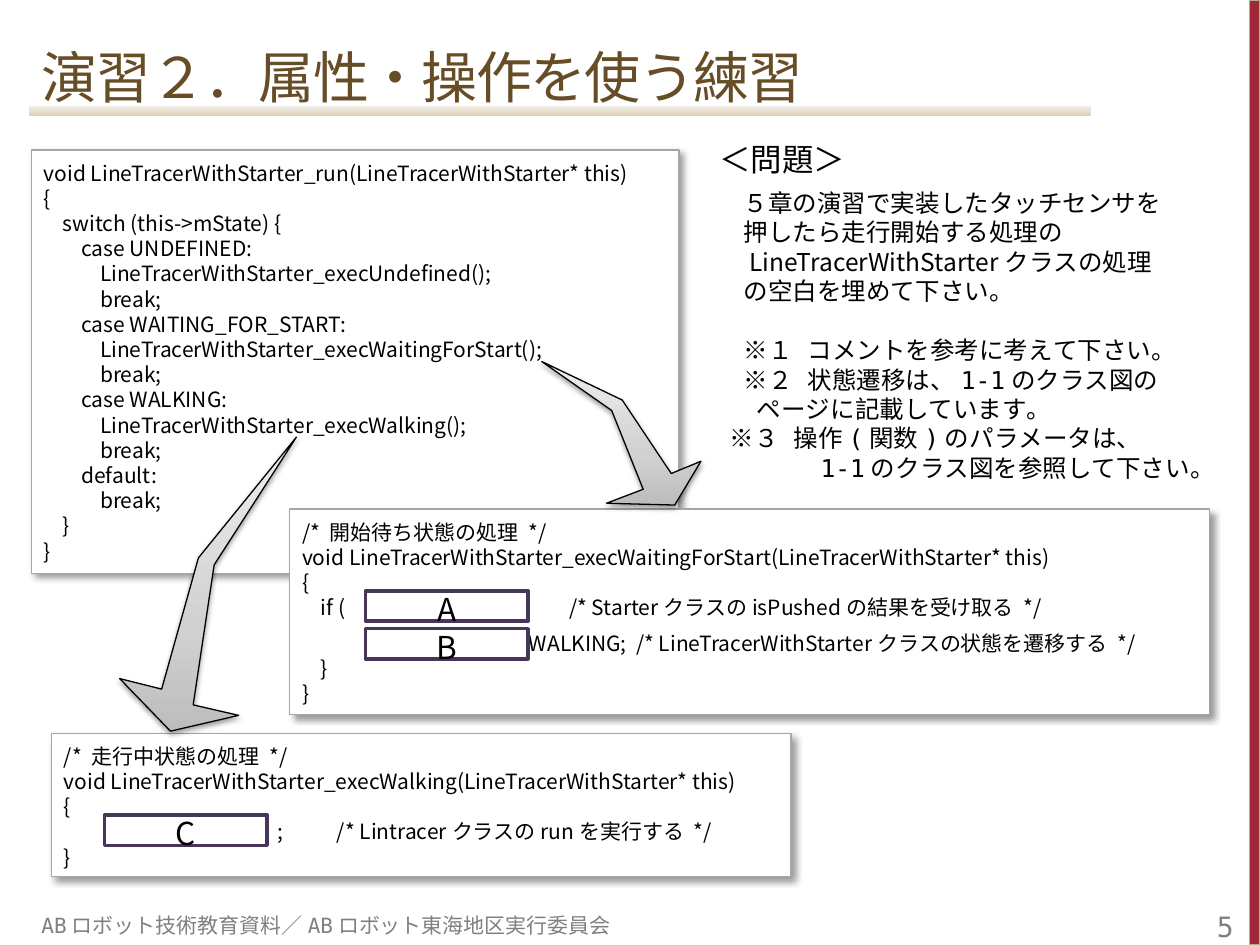
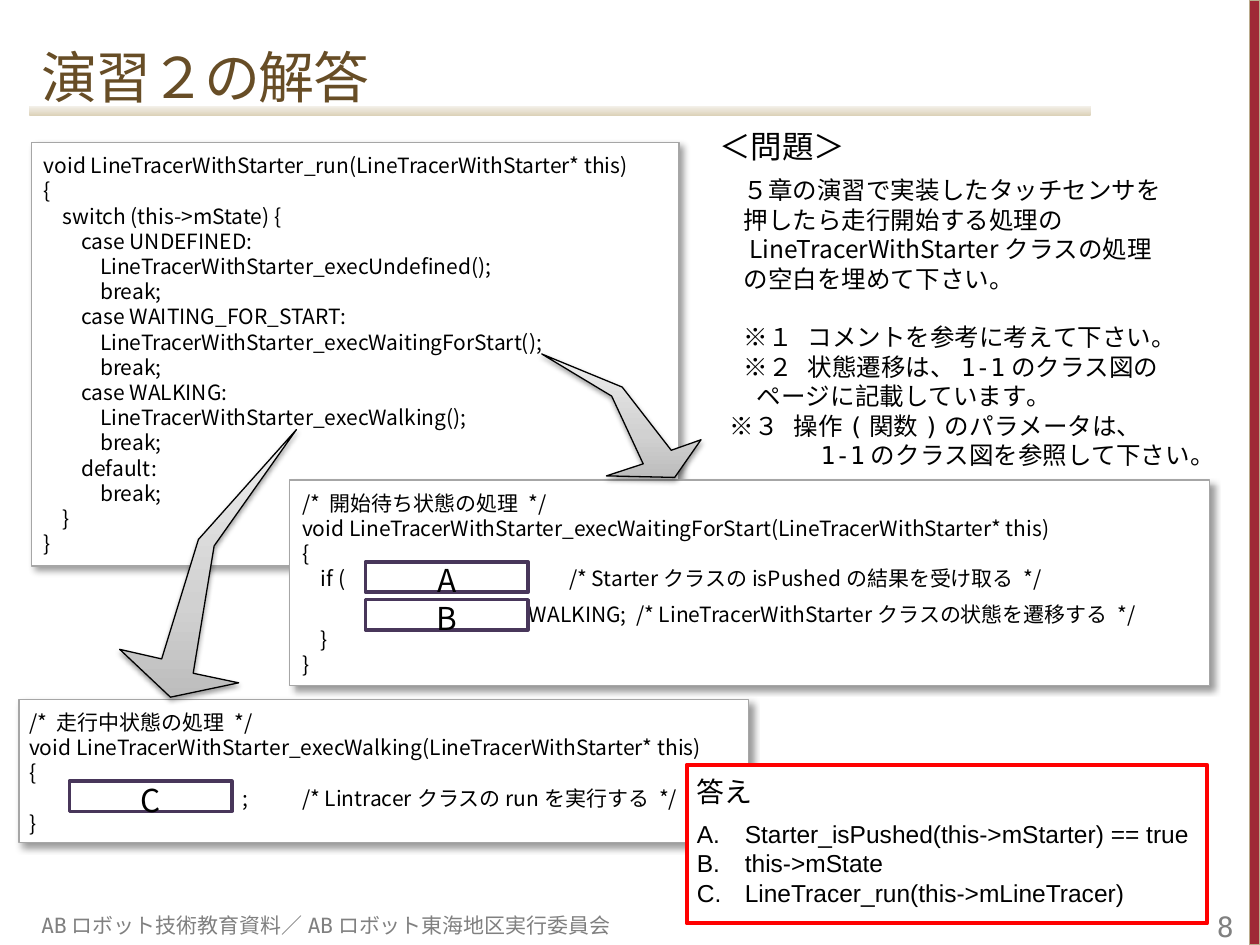
from dataclasses import dataclass

from lxml import etree
from pptx import Presentation
from pptx.dml.color import RGBColor
from pptx.enum.shapes import MSO_SHAPE as Preset
from pptx.enum.text import MSO_ANCHOR as Anchor, PP_ALIGN as Align
from pptx.oxml import parse_xml
from pptx.oxml.ns import nsdecls, qn
from pptx.util import Pt


@dataclass(frozen=True)
class Theme:
    ink: str = "000000"
    paper: str = "FFFFFF"
    title: str = "674D26"
    muted: str = "808080"
    band: str = "9F2936"
    band_edge: str = "BAAD8D"
    panel_edge: str = "A6A6A6"
    blank_edge: str = "48365A"
    answer_edge: str = "FF0000"
    rule: tuple = ((0, "DBD1B7"), (50, "E8E1D2"), (100, "F3F0E9"))
    arrow: tuple = ((0, "BDBDBD"), (35, "D1D1D1"), (100, "EEEEEE"))
    panel_shadow: tuple = (40, 4, 3, 45)
    arrow_shadow: tuple = (38, 3.1, 1.6, 90)
    title_font: str = "Karla"
    body_font: str = "DejaVu Sans Mono"
    code_font: str = "Noto Sans CJK JP"
    answer_font: str = "Arial"
    title_size: int = 32
    heading_size: int = 18
    answer_heading_size: int = 16
    page_size: int = 16
    body_size: int = 14
    code_size: int = 12
    leading: float = 1.2


theme = Theme()


def paint(shape, fill, edge=None, width=0.75, shadow=None):
    shape.shadow.inherit = False
    if isinstance(fill, str):
        shape.fill.solid()
        shape.fill.fore_color.rgb = RGBColor.from_string(fill)
    else:
        shape.fill.gradient()
        shape.fill.gradient_angle = 90
        stops = shape._element.spPr.find(".//" + qn("a:gsLst"))
        for stop in list(stops):
            stops.remove(stop)
        for position, color in fill:
            stop = etree.SubElement(stops, qn("a:gs"), pos=str(position * 1000))
            etree.SubElement(stop, qn("a:srgbClr"), val=color)
    if edge:
        shape.line.color.rgb = RGBColor.from_string(edge)
        shape.line.width = Pt(width)
    else:
        shape.line.fill.background()
    if shadow:
        alpha, blur, distance, angle = shadow
        effects = shape._element.spPr.find(qn("a:effectLst"))
        effects.append(parse_xml(
            f'<a:outerShdw {nsdecls("a")} blurRad="{Pt(blur)}" dist="{Pt(distance)}" '
            f'dir="{angle * 60000}" algn="tl" rotWithShape="0"><a:srgbClr val="{theme.ink}">'
            f'<a:alpha val="{alpha * 1000}"/></a:srgbClr></a:outerShdw>'))


def write(shape, text, font, size, color=theme.ink, insets=(7.2, 3.6, 7.2, 3.6),
          anchor=Anchor.TOP, align=Align.LEFT, first=None):
    frame = shape.text_frame
    frame.text = text
    frame.word_wrap = True
    frame.vertical_anchor = anchor
    frame.margin_left, frame.margin_top, frame.margin_right, frame.margin_bottom = map(Pt, insets)
    for index, paragraph in enumerate(frame.paragraphs):
        points = first if first and index == 0 else size
        paragraph.alignment = align
        paragraph.line_spacing = Pt(points * theme.leading)
        paragraph.space_after = Pt(6 if first and index == 0 else 0)
        for run in paragraph.runs:
            run.font.name = font
            run.font.size = Pt(points)
            run.font.color.rgb = RGBColor.from_string(color)
            etree.SubElement(run._r.get_or_add_rPr(), qn("a:ea"), typeface=font)
    return frame.paragraphs


RUN_CODE = """void LineTracerWithStarter_run(LineTracerWithStarter* this)
{
\tswitch (this->mState) {
\t\tcase UNDEFINED:
\t\t\tLineTracerWithStarter_execUndefined();
\t\t\tbreak;
\t\tcase WAITING_FOR_START:
\t\t\tLineTracerWithStarter_execWaitingForStart();
\t\t\tbreak;
\t\tcase WALKING:
\t\t\tLineTracerWithStarter_execWalking();
\t\t\tbreak;
\t\tdefault:
\t\t\tbreak;
\t}
}"""
WALKING_CODE = """/* 走行中状態の処理 */
void LineTracerWithStarter_execWalking(LineTracerWithStarter* this)
{
\t;\t/* Lintracerクラスのrunを実行する */
}"""
WAITING_CODE = """/* 開始待ち状態の処理 */
void LineTracerWithStarter_execWaitingForStart(LineTracerWithStarter* this)
{
\tif (\t) {\t/* StarterクラスのisPushedの結果を受け取る */
\t\t\t= WALKING;\t/* LineTracerWithStarterクラスの状態を遷移する */
\t}
}"""
PROBLEM = [
    ("＜問題＞", 0),
    ("５章の演習で実装したタッチセンサを", 14),
    ("押したら走行開始する処理の", 14),
    ("LineTracerWithStarterクラスの処理", 17),
    ("の空白を埋めて下さい。", 14),
    ("※１ コメントを参考に考えて下さい。", 14),
    ("※２ 状態遷移は、1-1のクラス図の", 14),
    ("ページに記載しています。", 21.5),
    ("※３ 操作(関数)のパラメータは、", 6),
    ("1-1のクラス図を参照して下さい。", 58),
]
ANSWERS = """答え
Starter_isPushed(this->mStarter) == true
this->mState
LineTracer_run(this->mLineTracer)"""
FOOTER = "ABロボット技術教育資料／ABロボット東海地区実行委員会"

RUN_STOPS = (10.7, 21.4, 32.1)
WALKING_STOPS = (122, 156)
WAITING_STOPS = (10.7, 113, 120.3, 152.6, 190.9)
WAITING_ARROW = [(0, 0), (46, 22), (74, 64), (91, 57), (76, 82), (37, 81), (58, 73), (40, 28)]
WALKING_ARROW = [(101, 0), (45, 69), (24, 144), (0, 138), (29, 168), (68, 159), (42, 153), (54, 73)]

PAGES = [
    dict(title="演習２．属性・操作を使う練習", number="5", run_top=85.7, waiting_top=290.9,
         walking=(29.5, 419, 422.6), walking_inset=7.2, problem_top=76.3,
         arrows=((206.6, 1), (249.8, 1)), answers=False),
    dict(title="演習２の解答", number="8", run_top=81.4, waiting_top=274.3,
         walking=(10.8, 399.6, 416.9), walking_inset=5.8, problem_top=69.1,
         arrows=((202.3, 0.86), (245.5, 0.91)), answers=True),
]

presentation = Presentation()
presentation.slide_width, presentation.slide_height = Pt(720), Pt(540)

for page in PAGES:
    slide = presentation.slides.add_slide(presentation.slide_layouts[6])
    shapes = slide.shapes

    rule = shapes.add_shape(Preset.ROUNDED_RECTANGLE, Pt(16.6), Pt(60.5), Pt(607), Pt(5.8))
    paint(rule, theme.rule)
    band = shapes.add_shape(Preset.RECTANGLE, Pt(714.2), Pt(0), Pt(5.8), Pt(540))
    paint(band, theme.band, theme.band_edge)

    title = shapes.add_textbox(Pt(16.6), Pt(14.4), Pt(653.8), Pt(51.8))
    for paragraph in write(title, page["title"], theme.title_font, theme.title_size,
                           theme.title, anchor=Anchor.BOTTOM):
        paragraph.runs[0]._r.get_or_add_rPr().set("spc", "-100")
    number = shapes.add_textbox(Pt(669.6), Pt(512.6), Pt(42.5), Pt(26.6))
    write(number, page["number"], theme.body_font, theme.page_size, theme.muted,
          (7.2, 3.6, 7.2, 0), Anchor.BOTTOM, Align.RIGHT)
    footer = shapes.add_textbox(Pt(16.6), Pt(510.5), Pt(343.4), Pt(28.8))
    write(footer, FOOTER, theme.body_font, theme.code_size, theme.muted,
          (7.2, 3.6, 0, 3.6), Anchor.BOTTOM)

    walking_left, walking_top, walking_width = page["walking"]
    waiting_left, waiting_top = 165.6, page["waiting_top"]
    panels = [
        (RUN_CODE, RUN_STOPS, 18, page["run_top"], 370, 242, 7.2),
        (WALKING_CODE, WALKING_STOPS, walking_left, walking_top, walking_width, 82,
         page["walking_inset"]),
        (WAITING_CODE, WAITING_STOPS, waiting_left, waiting_top, 525.6, 117.4, 7.2),
    ]
    for code, stops, left, top, width, height, inset in panels:
        panel = shapes.add_shape(Preset.RECTANGLE, Pt(left), Pt(top), Pt(width), Pt(height))
        paint(panel, theme.paper, theme.panel_edge, shadow=theme.panel_shadow)
        for paragraph in write(panel, code, theme.code_font, theme.code_size,
                               insets=(inset, 5.8, 2.9, 3.6)):
            if "if (" in paragraph.text:
                paragraph.space_after = Pt(6)
            tabs = etree.SubElement(paragraph._p.get_or_add_pPr(), qn("a:tabLst"))
            for stop in stops:
                etree.SubElement(tabs, qn("a:tab"), pos=str(Pt(stop)), algn="l")

    blanks = [
        ("A", waiting_left + 43.2, waiting_top + 46.8),
        ("B", waiting_left + 43.2, waiting_top + 68.4),
        ("C", walking_left + page["walking_inset"] + 23, walking_top + 46.8),
    ]
    for letter, left, top in blanks:
        blank = shapes.add_shape(Preset.RECTANGLE, Pt(left), Pt(top), Pt(92.9), Pt(17.3))
        paint(blank, theme.paper, theme.blank_edge, 2)
        write(blank, letter, theme.code_font, theme.heading_size, insets=(7.2, 3.6, 7.2, 0),
              anchor=Anchor.MIDDLE, align=Align.CENTER)

    for points, left, (top, stretch) in zip((WAITING_ARROW, WALKING_ARROW), (309.6, 68.4),
                                            page["arrows"]):
        outline = shapes.build_freeform(*points[0], scale=(Pt(1), Pt(1) * stretch))
        outline.add_line_segments(points[1:], close=True)
        arrow = outline.convert_to_shape(Pt(left), Pt(top))
        paint(arrow, theme.arrow, theme.ink, shadow=theme.arrow_shadow)

    problem = shapes.add_textbox(Pt(403.9), Pt(page["problem_top"]), Pt(298.8), Pt(204.5))
    paragraphs = write(problem, "\n".join(text for text, indent in PROBLEM), theme.body_font,
                       theme.body_size, insets=(7.2, 3.6, 0, 3.6), first=theme.heading_size)
    for paragraph, (text, indent) in zip(paragraphs, PROBLEM):
        paragraph._p.get_or_add_pPr().set("marL", str(Pt(indent)))
        if text.startswith("※１"):
            paragraph.space_before = Pt(theme.body_size * theme.leading)
        if text.startswith("LineTracer"):
            paragraph.runs[0].font.name = theme.code_font

    if page["answers"]:
        answers = shapes.add_shape(Preset.RECTANGLE, Pt(392.4), Pt(437), Pt(297.4), Pt(90.7))
        paint(answers, theme.paper, theme.answer_edge, 2.25)
        heading, *items = write(answers, ANSWERS, theme.answer_font, theme.body_size,
                                insets=(5.8, 5.8, 2.9, 5.8), first=theme.answer_heading_size)
        heading.runs[0].font.name = theme.code_font
        for item in items:
            properties = item._p.get_or_add_pPr()
            properties.set("marL", str(Pt(27.4)))
            properties.set("indent", str(-Pt(27.4)))
            etree.SubElement(properties, qn("a:buFont"), typeface=theme.answer_font)
            etree.SubElement(properties, qn("a:buAutoNum"), type="alphaUcPeriod")

presentation.save("out.pptx")
